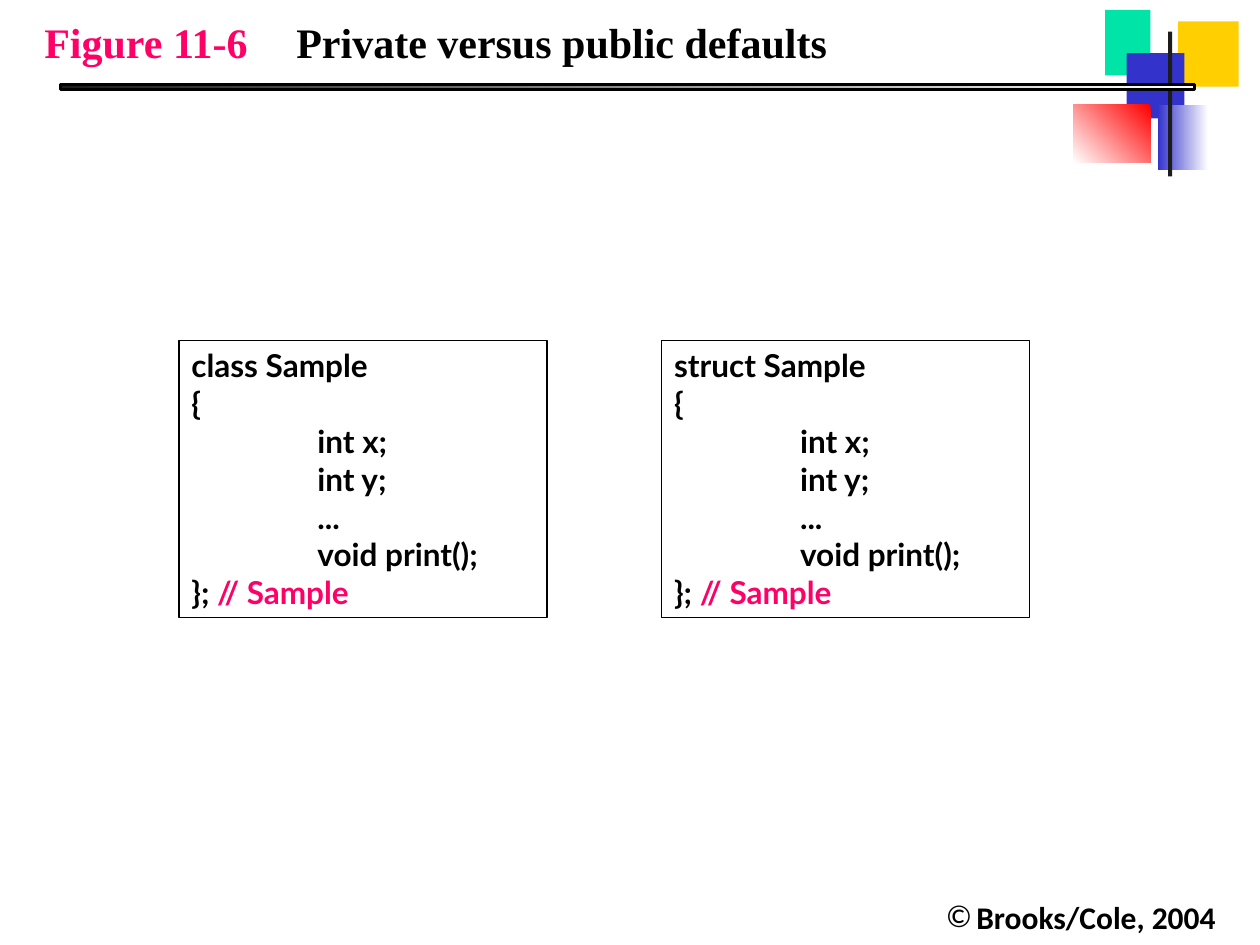
from dataclasses import dataclass
from typing import Optional

import lxml.etree
import pptx
import pptx.dml.color
import pptx.enum.shapes
import pptx.enum.text
import pptx.oxml.ns
import pptx.util

BLACK = "000000"
WHITE = "FFFFFF"
PINK = "FF0066"
BLUE = "3333CC"
CHARCOAL = "1C1C1C"


@dataclass
class Block:
    left: float
    top: float
    width: float
    height: float
    colour: str
    end_colour: Optional[str] = None
    angle: int = 0
    line_width: float = 0


@dataclass
class Piece:
    text: str
    colour: str = BLACK


@dataclass
class TextStyle:
    font: str
    size: int


ORNAMENTS = [
    Block(23.75, 0.43, 1.22, 1.32, "FFCF01"),
    Block(22.28, 0.2, 0.91, 1.32, "00E4A8"),
    Block(22.71, 1.07, 1.17, 1.32, BLUE),
    Block(23.34, 2.11, 1.02, 1.32, WHITE, BLUE, 180),
    Block(21.64, 2.11, 1.55, 1.17, "FF0000", WHITE, 225),
    Block(23.55, 0.64, 0.08, 2.92, CHARCOAL),
    Block(1.22, 1.7, 22.86, 0.1, WHITE, CHARCOAL, 180, 1.5),
]
HEADING = TextStyle("Times New Roman", 24)
CODE = TextStyle("Lato", 18)
COPYRIGHT = TextStyle("Calibri", 18)
MEMBERS = ["int x;", "int y;", "...", "void print();"]
DECLARATIONS = {"class": 3.61, "struct": 13.34}


def rgb(colour: str):
    return pptx.dml.color.RGBColor.from_string(colour)


def add_property(paragraph, tag: str, **attributes: str):
    properties = paragraph._p.get_or_add_pPr()
    return lxml.etree.SubElement(properties, pptx.oxml.ns.qn(tag), attributes)


def add_tab(paragraph, position: float) -> None:
    tabs = add_property(paragraph, "a:tabLst")
    lxml.etree.SubElement(tabs, pptx.oxml.ns.qn("a:tab"),
                          {"pos": str(pptx.util.Cm(position)), "algn": "l"})


def write(paragraph, pieces: list[Piece], style: TextStyle,
          alignment=pptx.enum.text.PP_ALIGN.LEFT) -> None:
    paragraph.alignment = alignment
    for piece in pieces:
        run = paragraph.add_run()
        run.text = piece.text
        run.font.name = style.font
        run.font.size = pptx.util.Pt(style.size)
        run.font.bold = True
        run.font.color.rgb = rgb(piece.colour)


def draw_block(slide, block: Block):
    shape = slide.shapes.add_shape(
        pptx.enum.shapes.MSO_SHAPE.RECTANGLE,
        *map(pptx.util.Cm, (block.left, block.top, block.width, block.height)))
    shape.shadow.inherit = False
    if block.end_colour:
        shape.fill.gradient()
        shape.fill.gradient_angle = block.angle
        for stop, colour in zip(shape.fill.gradient_stops, (block.colour, block.end_colour)):
            stop.color.rgb = rgb(colour)
    else:
        shape.fill.solid()
        shape.fill.fore_color.rgb = rgb(block.colour)
    if block.line_width:
        shape.line.color.rgb = rgb(BLACK)
        shape.line.width = pptx.util.Pt(block.line_width)
    else:
        shape.line.fill.background()
    return shape


def draw_heading(slide) -> None:
    heading = slide.shapes.title
    heading.left, heading.top, heading.width, heading.height = map(
        pptx.util.Cm, (0.64, 0.2, 17, 1.27))
    frame = heading.text_frame
    frame.word_wrap = True
    frame.auto_size = pptx.enum.text.MSO_AUTO_SIZE.NONE
    frame.vertical_anchor = pptx.enum.text.MSO_ANCHOR.TOP
    add_tab(frame.paragraphs[0], 5.08)
    write(frame.paragraphs[0],
          [Piece("Figure 11-6\t", PINK), Piece("Private versus public defaults")], HEADING)


def draw_declaration(slide, keyword: str, left: float) -> None:
    frame = draw_block(slide, Block(left, 6.86, 7.42, 5.59, WHITE, line_width=0.75)).text_frame
    frame.word_wrap = True
    frame.vertical_anchor = pptx.enum.text.MSO_ANCHOR.TOP
    lines = [[Piece(f"{keyword} Sample")], [Piece("{")],
             *([Piece(f"\t{member}")] for member in MEMBERS),
             [Piece("}; "), Piece("// Sample", PINK)]]
    for index, pieces in enumerate(lines):
        paragraph = frame.add_paragraph() if index else frame.paragraphs[0]
        add_tab(paragraph, 2.54)
        write(paragraph, pieces, CODE)


def draw_copyright(slide) -> None:
    frame = slide.shapes.add_textbox(*map(pptx.util.Cm, (17.14, 17.98, 7.62, 1.02))).text_frame
    frame.word_wrap = True
    notice = frame.paragraphs[0]
    hanging = pptx.util.Cm(0.61)
    properties = notice._p.get_or_add_pPr()
    properties.set("marL", str(hanging))
    properties.set("indent", str(-hanging))
    bullet_colour = add_property(notice, "a:buClr")
    lxml.etree.SubElement(bullet_colour, pptx.oxml.ns.qn("a:srgbClr"), {"val": BLACK})
    add_property(notice, "a:buFont", typeface=COPYRIGHT.font)
    add_property(notice, "a:buChar", char="©")
    write(notice, [Piece("Brooks/Cole, 2004")], COPYRIGHT, pptx.enum.text.PP_ALIGN.RIGHT)


def main() -> None:
    presentation = pptx.Presentation()
    presentation.slide_width = pptx.util.Cm(25.4)
    presentation.slide_height = pptx.util.Cm(19.05)
    slide = presentation.slides.add_slide(presentation.slide_layouts[5])
    draw_copyright(slide)
    draw_heading(slide)
    for ornament in ORNAMENTS:
        draw_block(slide, ornament)
    for keyword, left in DECLARATIONS.items():
        draw_declaration(slide, keyword, left)
    presentation.save("out.pptx")


if __name__ == "__main__":
    main()
